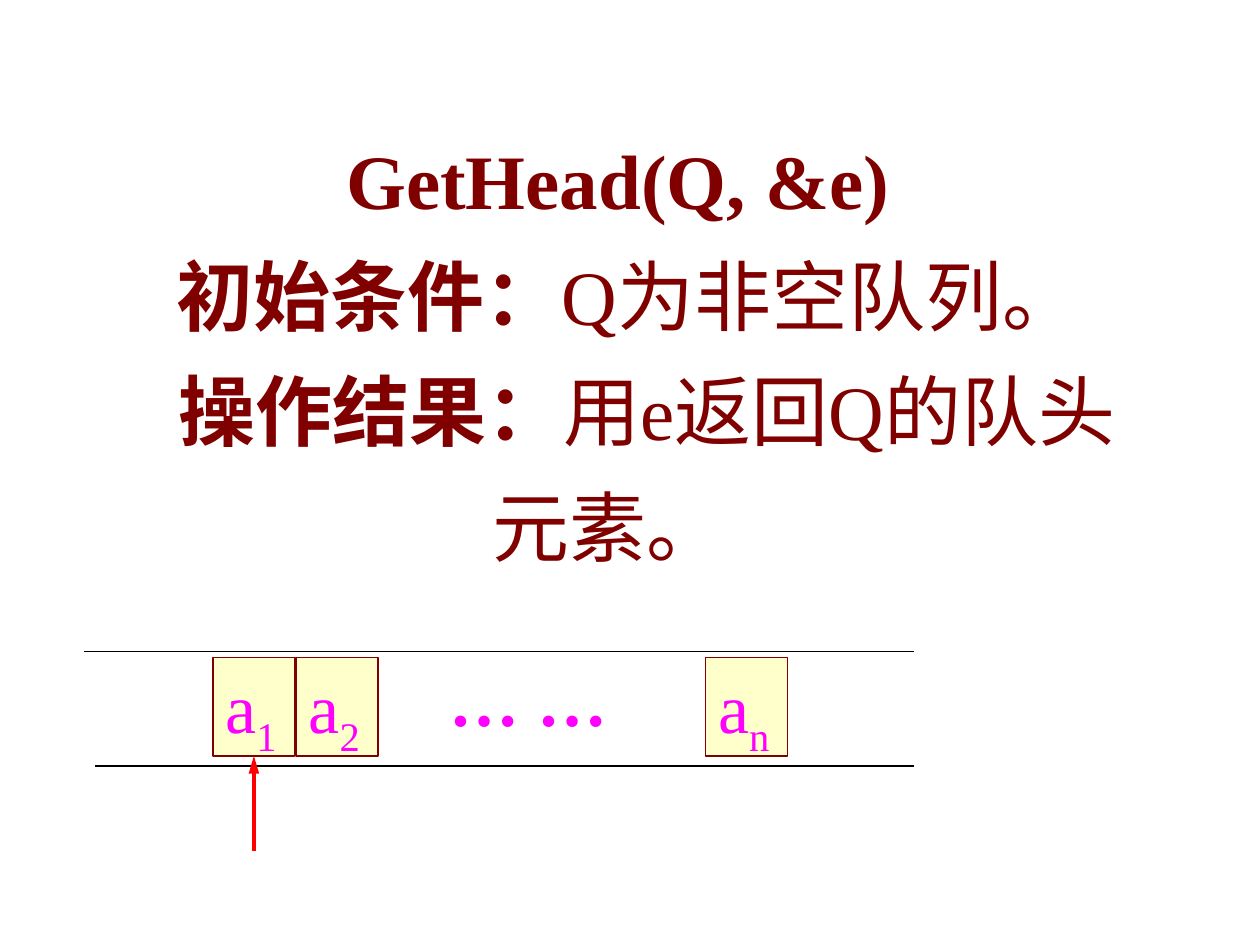
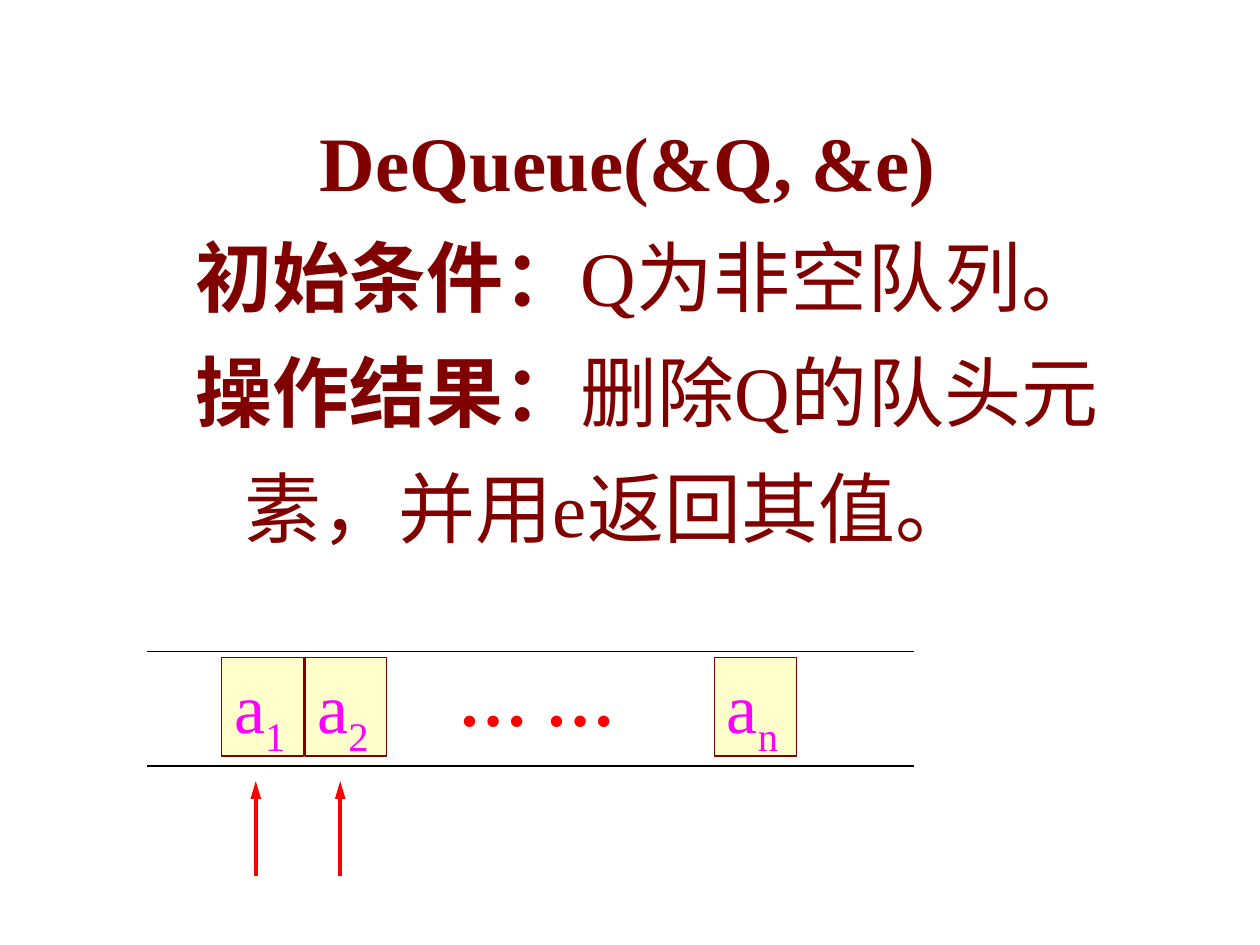
"""Build two slides that explain queue operations."""
from dataclasses import dataclass

from lxml.etree import SubElement
from pptx import Presentation
from pptx.dml.color import RGBColor
from pptx.enum.shapes import MSO_CONNECTOR as Connector, MSO_SHAPE as Shape
from pptx.enum.text import MSO_ANCHOR as Anchor, MSO_AUTO_SIZE as AutoSize, PP_ALIGN as Align
from pptx.oxml.ns import qn
from pptx.util import Inches, Pt

FONT_NAME = "Times New Roman"
MAROON = RGBColor(0x80, 0x00, 0x00)
CREAM = RGBColor(0xFF, 0xFF, 0xCC)
MAGENTA = RGBColor(0xFF, 0x00, 0xFF)
RED = RGBColor(0xFF, 0x00, 0x00)
BLACK = RGBColor(0x00, 0x00, 0x00)

CELL_OFFSETS = {"1": 0, "2": 0.66, "n": 3.91}
CELL_TOP, CELL_WIDTH, CELL_HEIGHT = 5.22, 0.65, 0.78
DOTS_OFFSET = 1.78
RAIL_RIGHT = 7.25
ARROW_LENGTH = 0.75


@dataclass(frozen=True)
class Line:
    """A line of the description: bold label, plain text and first-line indent."""
    label: str
    text: str
    indent: float


@dataclass(frozen=True)
class Rail:
    """A horizontal border of the queue."""
    left: float
    y: float


@dataclass(frozen=True)
class Operation:
    """A queue operation with its description and diagram."""
    top: float
    lines: tuple[Line, ...]
    rails: tuple[Rail, ...]
    queue_left: float
    dots_color: RGBColor
    arrow_tip: float
    arrow_xs: tuple[float, ...] = ()
    head_label: str = ""


OPERATIONS = (
    Operation(
        top=0.82,
        lines=(
            Line("GetHead(Q, &e)", "", 0.15),
            Line("初始条件：", "Q为非空队列。", 0.31),
            Line("操作结果：", "用e返回Q的队头元素。", 0.61),
        ),
        rails=(Rail(0.67, 5.17), Rail(0.75, 6.08)),
        queue_left=1.69,
        dots_color=MAGENTA,
        arrow_tip=6,
        head_label="1",
    ),
    Operation(
        top=0.67,
        lines=(
            Line("DeQueue(&Q, &e)", "", 0.31),
            Line("初始条件：", "Q为非空队列。", 0.61),
            Line("操作结果：", "删除Q的队头元素，并用e返回其值。", 0.61),
        ),
        rails=(Rail(1.17, 5.17), Rail(1.17, 6.08)),
        queue_left=1.76,
        dots_color=RED,
        arrow_tip=6.2,
        arrow_xs=(2.7, 2.03),
    ),
)


def add_run(paragraph, text: str, size: int, color: RGBColor, bold: bool = False):
    """Append a formatted run."""
    run = paragraph.add_run()
    run.text = text
    run.font.name = FONT_NAME
    run.font.size = Pt(size)
    run.font.bold = bold
    run.font.color.rgb = color
    return run


def add_description(slide, operation: Operation) -> None:
    """Draw the centred heading and its conditions."""
    box = slide.shapes.add_textbox(Inches(0.58), Inches(operation.top), Inches(8.5), Inches(3.77))
    frame = box.text_frame
    frame.word_wrap = True
    frame.vertical_anchor = Anchor.MIDDLE
    for index, line in enumerate(operation.lines):
        paragraph = frame.add_paragraph() if index else frame.paragraphs[0]
        paragraph.alignment = Align.CENTER
        paragraph.line_spacing = 1.25
        properties = paragraph._p.get_or_add_pPr()
        properties.set("marL", "0")
        properties.set("indent", str(Inches(line.indent)))
        add_run(paragraph, line.label, 44, MAROON, bold=True)
        if line.text:
            add_run(paragraph, line.text, 44, MAROON)


def add_line(slide, start: tuple[float, float], end: tuple[float, float],
             color: RGBColor, width: float):
    """Draw a straight line without a shadow."""
    points = (Inches(value) for value in (*start, *end))
    connector = slide.shapes.add_connector(Connector.STRAIGHT, *points)
    connector.line.color.rgb = color
    connector.line.width = Pt(width)
    SubElement(connector._element.spPr, qn("a:effectLst"))
    return connector


def add_arrow(slide, x: float, tip: float):
    """Draw a red arrow that points up."""
    arrow = add_line(slide, (x, tip + ARROW_LENGTH), (x, tip), RED, 2)
    SubElement(arrow.line._get_or_add_ln(), qn("a:tailEnd"), type="triangle", w="med", len="lg")
    return arrow


def fit_text(shape) -> None:
    """Let the shape fit its unwrapped text."""
    shape.text_frame.word_wrap = False
    shape.text_frame.auto_size = AutoSize.SHAPE_TO_FIT_TEXT


def add_cell(slide, left: float, subscript: str):
    """Draw a queue element with its subscript."""
    cell = slide.shapes.add_shape(Shape.RECTANGLE, Inches(left), Inches(CELL_TOP),
                                  Inches(CELL_WIDTH), Inches(CELL_HEIGHT))
    cell.shadow.inherit = False
    cell.fill.solid()
    cell.fill.fore_color.rgb = CREAM
    cell.line.color.rgb = MAROON
    cell.line.width = Pt(0.75)
    fit_text(cell)
    cell.text_frame.vertical_anchor = Anchor.TOP
    paragraph = cell.text_frame.paragraphs[0]
    paragraph.alignment = Align.LEFT
    add_run(paragraph, "a", 40, MAGENTA)
    lowered = add_run(paragraph, subscript, 40, MAGENTA)
    lowered._r.get_or_add_rPr().set("baseline", "-25000")
    return cell


def add_queue(slide, operation: Operation) -> None:
    """Draw the rails, elements, dots and arrows of the queue."""
    for rail in operation.rails:
        add_line(slide, (rail.left, rail.y), (RAIL_RIGHT, rail.y), BLACK, 0.75)
    cells = {label: add_cell(slide, operation.queue_left + offset, label)
             for label, offset in CELL_OFFSETS.items()}
    dots = slide.shapes.add_textbox(Inches(operation.queue_left + DOTS_OFFSET), Inches(5.16),
                                    Inches(1.45), Inches(0.77))
    fit_text(dots)
    add_run(dots.text_frame.paragraphs[0], "… …", 40, operation.dots_color, bold=True)
    for x in operation.arrow_xs:
        add_arrow(slide, x, operation.arrow_tip)
    if operation.head_label:
        center = operation.queue_left + CELL_OFFSETS[operation.head_label] + CELL_WIDTH / 2
        arrow = add_arrow(slide, center, operation.arrow_tip)
        arrow.end_connect(cells[operation.head_label], 2)


def main() -> None:
    """Create and save the presentation."""
    presentation = Presentation()
    presentation.slide_width = Inches(10)
    presentation.slide_height = Inches(7.5)
    for operation in OPERATIONS:
        slide = presentation.slides.add_slide(presentation.slide_layouts[6])
        add_description(slide, operation)
        add_queue(slide, operation)
    presentation.save("out.pptx")


if __name__ == "__main__":
    main()
